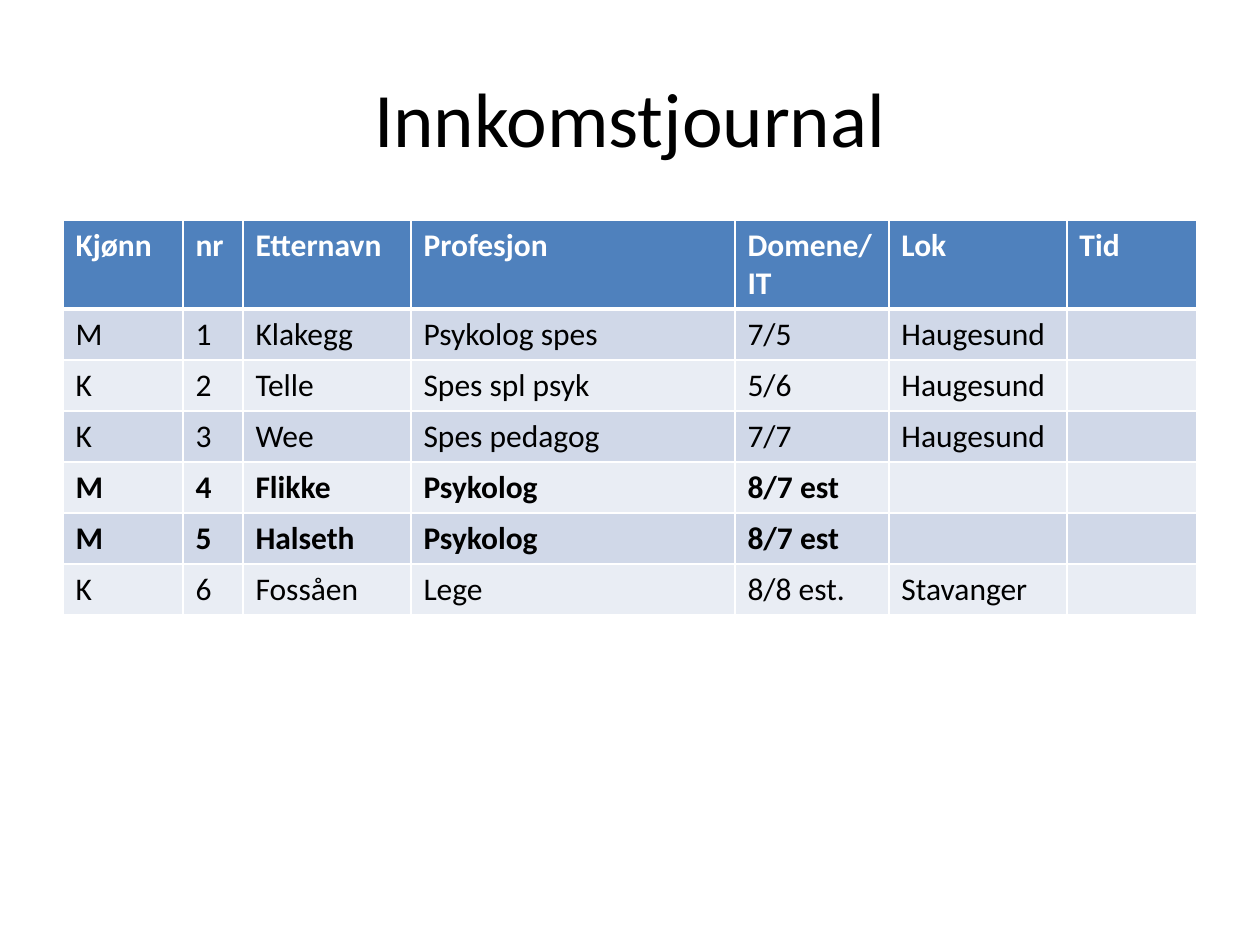
from dataclasses import dataclass

from lxml.etree import SubElement
from pptx import Presentation
from pptx.dml.color import RGBColor
from pptx.enum.text import MSO_ANCHOR, PP_ALIGN
from pptx.oxml.ns import qn
from pptx.util import Pt

EMU_PER_PIXEL = 914400 / 126


@dataclass(frozen=True)
class Theme:
    """Colours, font and type sizes of the slide."""
    font: str = "Calibri"
    title_size: int = 44
    table_size: int = 18
    text: str = "000000"
    header_text: str = "FFFFFF"
    header_fill: str = "4F81BD"
    bands: tuple = ("D0D8E8", "E9EDF4")
    border: str = "FFFFFF"


def emu(pixels):
    """Turn whole pixels into EMU."""
    return round(pixels * EMU_PER_PIXEL)


def write_text(frame, text, *, font, size, color, bold=False, align=PP_ALIGN.LEFT):
    """Write one formatted paragraph into a text frame."""
    paragraph = frame.paragraphs[0]
    paragraph.alignment = align
    paragraph.font.size = Pt(size)
    if text:
        run = paragraph.add_run()
        run.text = text
        run.font.name = font
        run.font.size = Pt(size)
        run.font.bold = bold
        run.font.color.rgb = RGBColor.from_string(color)


def set_borders(cell, color, **widths):
    """Draw the cell borders with a point width for each side."""
    properties = cell._tc.get_or_add_tcPr()
    for side, width in widths.items():
        line = SubElement(properties, qn(f"a:ln{side}"), w=str(Pt(width)))
        fill = SubElement(line, qn("a:solidFill"))
        SubElement(fill, qn("a:srgbClr"), val=color)


class SlideBuilder:
    """Holds the theme and the current slide."""

    def __init__(self, slide, theme):
        """Keep the slide and its theme."""
        self.slide = slide
        self.theme = theme

    def add_title(self, text, left, top, width, height):
        """Add the centred slide title."""
        shape = self.slide.shapes.add_textbox(*map(emu, (left, top, width, height)))
        frame = shape.text_frame
        frame.word_wrap = True
        frame.vertical_anchor = MSO_ANCHOR.MIDDLE
        write_text(frame, text, font=self.theme.font, size=self.theme.title_size,
                   color=self.theme.text, align=PP_ALIGN.CENTER)

    def add_table(self, rows, left, top, column_widths, row_heights, bold_rows):
        """Add a table with a header row and banded body rows."""
        shape = self.slide.shapes.add_table(
            len(rows), len(column_widths), emu(left), emu(top),
            emu(sum(column_widths)), emu(sum(row_heights)))
        table = shape.table
        for column, width in zip(table.columns, column_widths):
            column.width = emu(width)
        for index, (row, height) in enumerate(zip(rows, row_heights)):
            table.rows[index].height = emu(height)
            for cell, text in zip(table.rows[index].cells, row):
                self.fill_cell(cell, text, index, index in bold_rows)

    def fill_cell(self, cell, text, row_index, bold):
        """Give one cell its borders, fill and text."""
        theme = self.theme
        header = row_index == 0
        fill = theme.header_fill if header else theme.bands[(row_index - 1) % 2]
        set_borders(cell, theme.border, L=1, R=1,
                    T=3 if row_index == 1 else 1, B=3 if header else 1)
        cell.fill.solid()
        cell.fill.fore_color.rgb = RGBColor.from_string(fill)
        write_text(cell.text_frame, text, font=theme.font, size=theme.table_size,
                   color=theme.header_text if header else theme.text,
                   bold=header or bold)


JOURNAL = (
    ("Kjønn", "nr", "Etternavn", "Profesjon", "Domene/IT", "Lok", "Tid"),
    ("M", "1", "Klakegg", "Psykolog spes", "7/5", "Haugesund", ""),
    ("K", "2", "Telle", "Spes spl psyk", "5/6", "Haugesund", ""),
    ("K", "3", "Wee", "Spes pedagog", "7/7", "Haugesund", ""),
    ("M", "4", "Flikke", "Psykolog", "8/7 est", "", ""),
    ("M", "5", "Halseth", "Psykolog", "8/7 est", "", ""),
    ("K", "6", "Fossåen", "Lege", "8/8 est.", "Stavanger", ""),
)


def main():
    """Build and save the presentation."""
    presentation = Presentation()
    presentation.slide_width = emu(1260)
    presentation.slide_height = emu(945)
    slide = presentation.slides.add_slide(presentation.slide_layouts[6])
    builder = SlideBuilder(slide, Theme())
    builder.add_title("Innkomstjournal", 63, 38, 1134, 157)
    builder.add_table(JOURNAL, 63, 220,
                      column_widths=(120, 60, 168, 324, 154, 178, 130),
                      row_heights=(89,) + (51,) * (len(JOURNAL) - 1),
                      bold_rows=(4, 5))
    presentation.save("out.pptx")


main()
